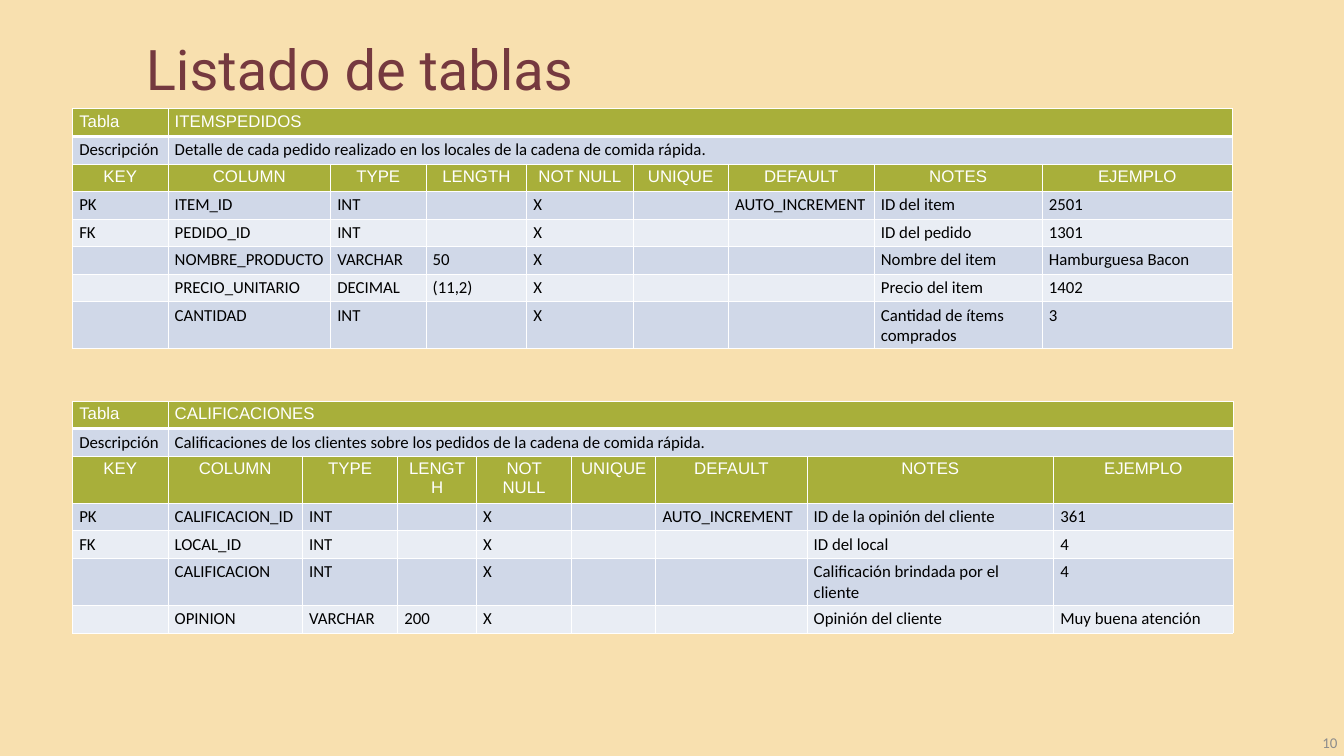
from lxml import etree
from pptx import Presentation
from pptx.dml.color import RGBColor
from pptx.enum.text import MSO_ANCHOR, MSO_AUTO_SIZE, PP_ALIGN
from pptx.oxml.ns import qn
from pptx.util import Inches, Pt

CENTER, RIGHT = PP_ALIGN.CENTER, PP_ALIGN.RIGHT
MIDDLE = MSO_ANCHOR.MIDDLE
GROW = MSO_AUTO_SIZE.SHAPE_TO_FIT_TEXT

COLORS = {
    "background": "F8E0AF",
    "title": "75393F",
    "header": "A8AF3A",
    "band_dark": "D0D8E8",
    "band_light": "E9EDF4",
    "white": "FFFFFF",
    "black": "000000",
    "number": "8C8C8C",
}
ROW_HEIGHT = 0.41
HEADINGS = ["KEY", "COLUMN", "TYPE", "LENGTH", "NOT NULL", "UNIQUE",
            "DEFAULT", "NOTES", "EJEMPLO"]

TABLES = [
    {
        "box": (1.08, 1.62),
        "widths": [1.42, 2.42, 1.42, 1.5, 1.58, 1.42, 2.17, 2.5, 2.83],
        "name": "ITEMSPEDIDOS",
        "description": "Detalle de cada pedido realizado en los locales "
                       "de la cadena de comida rápida.",
        "fields": [
            ["PK", "ITEM_ID", "INT", "", "X", "", "AUTO_INCREMENT", "ID del item", "2501"],
            ["FK", "PEDIDO_ID", "INT", "", "X", "", "", "ID del pedido", "1301"],
            ["", "NOMBRE_PRODUCTO", "VARCHAR", "50", "X", "", "", "Nombre del item",
             "Hamburguesa Bacon"],
            ["", "PRECIO_UNITARIO", "DECIMAL", "(11,2)", "X", "", "", "Precio del item", "1402"],
            ["", "CANTIDAD", "INT", "", "X", "", "", "Cantidad de ítems comprados", "3"],
        ],
    },
    {
        "box": (1.08, 5.97),
        "widths": [1.42, 2, 1.42, 1.17, 1.42, 1.25, 2.25, 3.67, 2.67],
        "name": "CALIFICACIONES",
        "description": "Calificaciones de los clientes sobre los pedidos "
                       "de la cadena de comida rápida.",
        "fields": [
            ["PK", "CALIFICACION_ID", "INT", "", "X", "", "AUTO_INCREMENT",
             "ID de la opinión del cliente", "361"],
            ["FK", "LOCAL_ID", "INT", "", "X", "", "", "ID del local", "4"],
            ["", "CALIFICACION", "INT", "", "X", "", "",
             "Calificación brindada por el cliente", "4"],
            ["", "OPINION", "VARCHAR", "200", "X", "", "", "Opinión del cliente",
             "Muy buena atención"],
        ],
    },
]


def rgb(name):
    """Return the named colour."""
    return RGBColor.from_string(COLORS[name])


def add_run(p, text, size, font, color):
    """Add one formatted run to a paragraph."""
    r = p.add_run()
    r.text = text
    r.font.size = Pt(size)
    r.font.name = font
    r.font.color.rgb = rgb(color)


def set_borders(cell, bottom):
    """Draw white borders around a cell, with the given bottom width."""
    tc_pr = cell._tc.get_or_add_tcPr()
    for side, width in (("L", 1), ("R", 1), ("T", 1), ("B", bottom)):
        ln = etree.SubElement(tc_pr, qn(f"a:ln{side}"), w=str(Pt(width)))
        fill = etree.SubElement(ln, qn("a:solidFill"))
        etree.SubElement(fill, qn("a:srgbClr"), val=COLORS["white"])


def fill_cell(cell, text, row):
    """Style a cell according to its row and write its text."""
    is_header = row in (0, 2)
    set_borders(cell, 3 if row == 0 else 1)
    cell.fill.solid()
    band = "band_dark" if row % 2 else "band_light"
    cell.fill.fore_color.rgb = rgb("header" if is_header else band)
    p = cell.text_frame.paragraphs[0]
    if row == 2:
        p.alignment = CENTER
    font, color = ("Arial", "white") if is_header else ("Calibri", "black")
    if text:
        add_run(p, text, 18, font, color)
    else:
        p.font.size = Pt(18)


def add_definition(slide, box, widths, name, description, fields):
    """Add the table that defines one database table."""
    blanks = [""] * (len(widths) - 2)
    rows = [["Tabla", name, *blanks], ["Descripción", description, *blanks],
            HEADINGS, *fields]
    left, top = box
    table = slide.shapes.add_table(
        len(rows), len(widths), Inches(left), Inches(top),
        Inches(sum(widths)), Inches(ROW_HEIGHT * len(rows))).table
    table.first_row = table.horz_banding = False
    for column, width in zip(table.columns, widths):
        column.width = Inches(width)
    for i, texts in enumerate(rows):
        table.rows[i].height = Inches(ROW_HEIGHT)
        for j, text in enumerate(texts):
            fill_cell(table.cell(i, j), text, i)
    for i in (0, 1):
        table.cell(i, 1).merge(table.cell(i, len(widths) - 1))


def add_title(slide, left, top, width, height):
    """Add the slide title."""
    sp = slide.shapes.add_textbox(Inches(left), Inches(top), Inches(width), Inches(height))
    tf = sp.text_frame
    tf.word_wrap = True
    tf.auto_size = GROW
    tf.margin_left = tf.margin_top = tf.margin_right = tf.margin_bottom = 0
    p = tf.paragraphs[0]
    p.line_spacing = Pt(88.3)
    add_run(p, "Listado de tablas", 60, "Roboto", "title")


def add_page_number(slide, left, top, width, height):
    """Add the page number."""
    sp = slide.shapes.add_textbox(Inches(left), Inches(top), Inches(width), Inches(height))
    tf = sp.text_frame
    tf.word_wrap = True
    tf.vertical_anchor = MIDDLE
    p = tf.paragraphs[0]
    p.alignment = RIGHT
    add_run(p, "10", 16, "Calibri", "number")


def main():
    """Build the slide and save it."""
    prs = Presentation()
    prs.slide_width, prs.slide_height = Inches(20), Inches(11.25)
    slide = prs.slides.add_slide(prs.slide_layouts[6])
    slide.background.fill.solid()
    slide.background.fill.fore_color.rgb = rgb("background")
    add_title(slide, 2.17, 0.29, 15.39, 1.2)
    for definition in TABLES:
        add_definition(slide, **definition)
    add_page_number(slide, 17.67, 10.85, 2.33, 0.4)
    prs.save("out.pptx")


if __name__ == "__main__":
    main()
